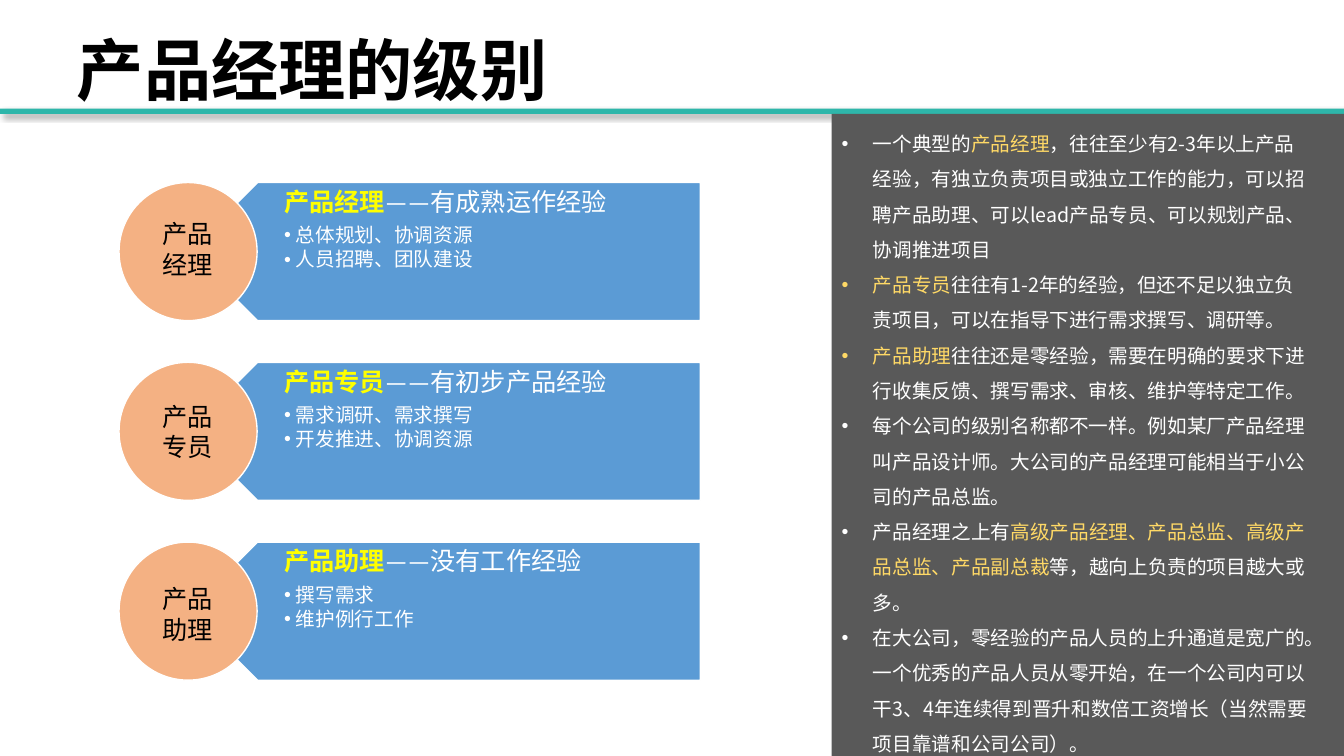
from lxml.etree import SubElement
from pptx import Presentation
from pptx.dml.color import RGBColor
from pptx.enum.shapes import MSO_SHAPE as Shape
from pptx.enum.text import MSO_ANCHOR as Anchor, MSO_AUTO_SIZE as AutoSize, PP_ALIGN as Align
from pptx.oxml.ns import qn
from pptx.util import Cm, Pt

COLORS = {
    "black": "000000", "white": "FFFFFF", "teal": "2EB6AA", "panel": "595959",
    "blue": "5B9BD5", "orange": "F4B183", "yellow": "FFFF00", "gold": "FFD966",
}
NOTO, CALIBRI = "Noto Sans CJK SC", "Calibri"

# Each level: name, experience, duties
LEVELS = [
    ("产品经理", "有成熟运作经验", ["总体规划、协调资源", "人员招聘、团队建设"]),
    ("产品专员", "有初步产品经验", ["需求调研、需求撰写", "开发推进、协调资源"]),
    ("产品助理", "没有工作经验", ["撰写需求", "维护例行工作"]),
]

# Each remark: runs of text with their colour
REMARKS = [
    [("一个典型的", "white"), ("产品经理", "gold"),
     ("，往往至少有2-3年以上产品经验，有独立负责项目或独立工作的能力，可以招聘产品助理、"
      "可以lead产品专员、可以规划产品、协调推进项目", "white")],
    [("产品专员", "gold"),
     ("往往有1-2年的经验，但还不足以独立负责项目，可以在指导下进行需求撰写、调研等。", "white")],
    [("产品助理", "gold"),
     ("往往还是零经验，需要在明确的要求下进行收集反馈、撰写需求、审核、维护等特定工作。", "white")],
    [("每个公司的级别名称都不一样。例如某厂产品经理叫产品设计师。"
      "大公司的产品经理可能相当于小公司的产品总监。", "white")],
    [("产品经理之上有", "white"),
     ("高级产品经理、产品总监、高级产品总监、产品副总裁", "gold"),
     ("等，越向上负责的项目越大或多。", "white")],
    [("在大公司，零经验的产品人员的上升通道是宽广的。一个优秀的产品人员从零开始，"
      "在一个公司内可以干3、4年连续得到晋升和数倍工资增长（当然需要项目靠谱和公司公司）。", "white")],
]


class LevelSlide:
    """Style and drawing methods for one slide; all lengths are in cm."""

    def __init__(self, slide):
        self.slide = slide
        self.shapes = slide.shapes

    def shape(self, kind, box, fill, line=None):
        shape = self.shapes.add_shape(kind, *map(Cm, box))
        shape.shadow.inherit = False
        shape.fill.solid()
        shape.fill.fore_color.rgb = RGBColor.from_string(COLORS[fill])
        if line:
            shape.line.color.rgb = RGBColor.from_string(COLORS[line])
            shape.line.width = Pt(1)
        else:
            shape.line.fill.background()
        return shape

    def drop_shadow(self, shape):
        effects = shape._element.spPr.find(qn("a:effectLst"))
        shadow = SubElement(effects, qn("a:outerShdw"), blurRad=str(Pt(4)), dist=str(Pt(3)),
                            dir="2700000", algn="tl", rotWithShape="0")
        color = SubElement(shadow, qn("a:srgbClr"), val=COLORS["black"])
        SubElement(color, qn("a:alpha"), val="40000")

    def frame(self, holder, margins=(0.25, 0.13, 0.25, 0.13), anchor=Anchor.TOP):
        frame = holder.text_frame
        frame.word_wrap = True
        frame.auto_size = AutoSize.NONE
        frame.vertical_anchor = anchor
        (frame.margin_left, frame.margin_top,
         frame.margin_right, frame.margin_bottom) = map(Cm, margins)
        return frame

    def text_box(self, box, **options):
        return self.frame(self.shapes.add_textbox(*map(Cm, box)), **options)

    def placeholder(self, index, box, **options):
        holder = self.slide.placeholders[index]
        holder.left, holder.top, holder.width, holder.height = map(Cm, box)
        return holder, self.frame(holder, **options)

    def paragraph(self, frame, first=False, spacing=1.0, after=0, indent=None):
        paragraph = frame.paragraphs[0] if first else frame.add_paragraph()
        paragraph.alignment = Align.LEFT
        paragraph.line_spacing = spacing
        paragraph.space_before, paragraph.space_after = Pt(0), Pt(after)
        if indent:
            props = paragraph._p.get_or_add_pPr()
            props.set("marL", str(Cm(indent)))
            props.set("indent", str(-Cm(indent)))
            SubElement(props, qn("a:buFont"), typeface="Arial")
            SubElement(props, qn("a:buChar"), char="•")
        return paragraph

    def run(self, paragraph, text, size, color, font=NOTO, bold=False):
        run = paragraph.add_run()
        run.text = text
        run.font.size, run.font.bold, run.font.name = Pt(size), bold, font
        run.font.color.rgb = RGBColor.from_string(COLORS[color])
        props = run._r.get_or_add_rPr()
        props.set("lang", "zh-CN")
        SubElement(props, qn("a:ea"), typeface=font)

    def title(self, text):
        _, frame = self.placeholder(0, (0, 0.58, 19.02, 2.57), anchor=Anchor.MIDDLE,
                                    margins=(1.94, 0.13, 0.25, 0.13))
        self.run(self.paragraph(frame, first=True, spacing=0.9), text, 48, "black", bold=True)

    def level(self, index, name, experience, duties):
        top, size = 4.6 + 4.53 * index, 3.48
        # Arrow with its text
        arrow = self.shape(Shape.PENTAGON, (4.75, top, 12.9, size), "blue", "white")
        arrow.rotation = 180
        frame = self.text_box((5.61, top, 12.04, size), margins=(1.55, 0.18, 0.36, 0.18))
        heading = self.paragraph(frame, first=True, spacing=0.9, after=6.3)
        self.run(heading, name, 18, "yellow", CALIBRI, bold=True)
        self.run(heading, "——" + experience, 18, "white", CALIBRI)
        for duty in duties:
            bullet = self.paragraph(frame, spacing=0.9, after=2.1, indent=0.3)
            self.run(bullet, duty, 14, "white", CALIBRI)
        # Circle with its label
        self.shape(Shape.OVAL, (3, top, size, size), "orange", "white")
        label = self.text_box((3.84, 5.38 + 4.6 * index, 1.93, 1.8))
        self.run(self.paragraph(label, first=True), name, 18, "black")

    def remarks(self, remarks):
        panel = self.shape(Shape.RECTANGLE, (20.96, 2.87, 12.91, 16.18), "panel")
        body, frame = self.placeholder(1, (20.96, 2.9, 12.27, 16.15))
        panel._element.addnext(body._element)
        for number, runs in enumerate(remarks):
            bullet = self.paragraph(frame, first=number == 0, spacing=1.5, indent=0.79)
            for text, color in runs:
                self.run(bullet, text, 14, color)


def main():
    deck = Presentation()
    deck.slide_width, deck.slide_height = Cm(33.87), Cm(19.05)
    page = LevelSlide(deck.slides.add_slide(deck.slide_layouts[1]))

    # Heading and rule below it
    page.title("产品经理的级别")
    rule = page.shape(Shape.RECTANGLE, (0, 2.74, 33.87, 0.13), "teal")
    page.drop_shadow(rule)

    # Levels on the left, remarks on the right
    for index, level in enumerate(LEVELS):
        page.level(index, *level)
    page.remarks(REMARKS)

    deck.save("out.pptx")


if __name__ == "__main__":
    main()
